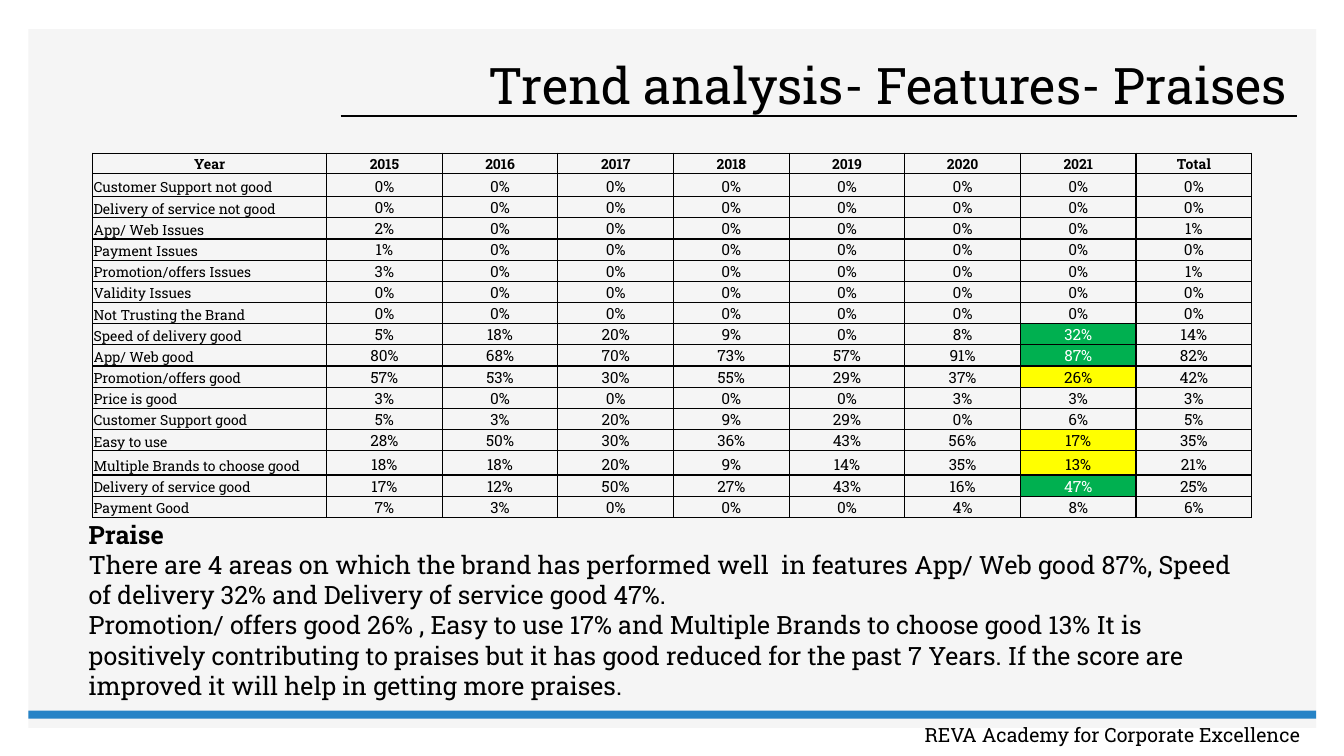
from dataclasses import dataclass
from typing import Optional

from lxml import etree
from pptx import Presentation
from pptx.dml.color import RGBColor
from pptx.enum import shapes, text
from pptx.oxml import ns
from pptx.util import Pt

FONT = "Roboto Slab"
BLACK, WHITE, PANEL, BLUE = "000000", "FFFFFF", "F5F5F5", "2683C6"
GREEN, YELLOW = "00B050", "FFFF00"
RIGHT, CENTER, LEFT = text.PP_ALIGN.RIGHT, text.PP_ALIGN.CENTER, text.PP_ALIGN.LEFT
ROW_HEIGHT, LABEL_WIDTH, YEAR_WIDTH = 14.4, 167, 82.62
HIGHLIGHT_COLUMN = 7


@dataclass
class Feature:
    label: str
    shares: tuple[int, ...]
    highlight: Optional[str] = None
    height: float = ROW_HEIGHT


HEADINGS = ("Year", *map(str, range(2015, 2022)), "Total")
FEATURES = (
    Feature("Customer Support not good", (0, 0, 0, 0, 0, 0, 0, 0), height=16.5),
    Feature("Delivery of service not good", (0, 0, 0, 0, 0, 0, 0, 0), height=13),
    Feature("App/ Web Issues", (2, 0, 0, 0, 0, 0, 0, 1)),
    Feature("Payment Issues", (1, 0, 0, 0, 0, 0, 0, 0)),
    Feature("Promotion/offers Issues", (3, 0, 0, 0, 0, 0, 0, 1)),
    Feature("Validity Issues", (0, 0, 0, 0, 0, 0, 0, 0)),
    Feature("Not Trusting the Brand", (0, 0, 0, 0, 0, 0, 0, 0)),
    Feature("Speed of delivery good", (5, 18, 20, 9, 0, 8, 32, 14), GREEN),
    Feature("App/ Web good", (80, 68, 70, 73, 57, 91, 87, 82), GREEN),
    Feature("Promotion/offers good", (57, 53, 30, 55, 29, 37, 26, 42), YELLOW),
    Feature("Price is good", (3, 0, 0, 0, 0, 3, 3, 3)),
    Feature("Customer Support good", (5, 3, 20, 9, 29, 0, 6, 5)),
    Feature("Easy to use", (28, 50, 30, 36, 43, 56, 17, 35), YELLOW),
    Feature("Multiple Brands to choose good", (18, 18, 20, 9, 14, 35, 13, 21), YELLOW, 17.3),
    Feature("Delivery of service good", (17, 12, 50, 27, 43, 16, 47, 25), GREEN),
    Feature("Payment Good", (7, 3, 0, 0, 0, 4, 8, 6)),
)
PRAISE = (
    "There are 4 areas on which the brand has performed well  in features App/ Web good 87%, "
    "Speed of delivery 32% and Delivery of service good 47%.",
    "Promotion/ offers good 26% , Easy to use 17% and Multiple Brands to choose good 13% It is "
    "positively contributing to praises but it has good reduced for the past 7 Years. If the "
    "score are improved it will help in getting more praises.",
)


def rgb(value: str) -> RGBColor:
    return RGBColor.from_string(value)


def write(frame, wording: str, *, size: float, bold: bool = False, color: str = BLACK,
          align=LEFT, spacing: Optional[float] = None) -> None:
    """Fill the frame's empty first paragraph, or add a paragraph after the others."""
    paragraph = frame.add_paragraph() if frame.text else frame.paragraphs[0]
    paragraph.alignment = align
    if spacing:
        paragraph.line_spacing = spacing
    run = paragraph.add_run()
    run.text = wording
    run.font.name, run.font.size, run.font.bold = FONT, Pt(size), bold
    run.font.color.rgb = rgb(color)


def add_bar(slide, left: float, top: float, width: float, height: float, color: str) -> None:
    bar = slide.shapes.add_shape(shapes.MSO_SHAPE.RECTANGLE, Pt(left), Pt(top), Pt(width), Pt(height))
    bar.shadow.inherit = False
    bar.fill.solid()
    bar.fill.fore_color.rgb = rgb(color)
    bar.line.fill.background()


def add_rule(slide, start: float, end: float, top: float) -> None:
    rule = slide.shapes.add_connector(shapes.MSO_CONNECTOR.STRAIGHT, Pt(start), Pt(top), Pt(end), Pt(top))
    rule.line.color.rgb = rgb(BLACK)
    rule.line.width = Pt(1)
    etree.SubElement(rule._element.spPr, ns.qn("a:effectLst"))


def add_frame(slide, left: float, top: float, width: float, height: float):
    box = slide.shapes.add_textbox(Pt(left), Pt(top), Pt(width), Pt(height))
    box.text_frame.word_wrap = True
    box.text_frame.auto_size = text.MSO_AUTO_SIZE.SHAPE_TO_FIT_TEXT
    return box.text_frame


def outline(cell) -> None:
    properties = cell._tc.get_or_add_tcPr()
    for side in ("a:lnL", "a:lnR", "a:lnT", "a:lnB"):
        line = etree.SubElement(properties, ns.qn(side), w=str(Pt(1)))
        fill = etree.SubElement(line, ns.qn("a:solidFill"))
        etree.SubElement(fill, ns.qn("a:srgbClr"), val=BLACK)


def fill_cell(cell, wording: str, fill: Optional[str] = None, **style) -> None:
    cell.vertical_anchor = text.MSO_ANCHOR.BOTTOM
    cell.margin_left = cell.margin_right = cell.margin_top = Pt(0.6)
    cell.margin_bottom = Pt(0)
    outline(cell)
    if fill:
        cell.fill.solid()
        cell.fill.fore_color.rgb = rgb(fill)
    else:
        cell.fill.background()
    write(cell.text_frame, wording, **style)


def add_feature_table(slide) -> None:
    heights = [ROW_HEIGHT, *(feature.height for feature in FEATURES)]
    widths = [LABEL_WIDTH] + [YEAR_WIDTH] * (len(HEADINGS) - 1)
    table = slide.shapes.add_table(len(heights), len(widths), Pt(66.3), Pt(109.5),
                                   Pt(sum(widths)), Pt(sum(heights))).table
    table.first_row = table.horz_banding = False
    for row, height in zip(table.rows, heights):
        row.height = Pt(height)
    for column, width in zip(table.columns, widths):
        column.width = Pt(width)
    for column, heading in enumerate(HEADINGS):
        fill_cell(table.cell(0, column), heading, size=10, bold=True, align=CENTER)
    for row, feature in enumerate(FEATURES, 1):
        fill_cell(table.cell(row, 0), feature.label, size=10)
        for column, share in enumerate(feature.shares, 1):
            fill = feature.highlight if column == HIGHLIGHT_COLUMN else None
            fill_cell(table.cell(row, column), f"{share}%", fill, size=11, align=CENTER,
                      color=WHITE if fill == GREEN else BLACK)


def place_title(slide, wording: str) -> None:
    title = slide.shapes.title
    title.left, title.top, title.width, title.height = Pt(266.4), Pt(30.2), Pt(660.2), Pt(66)
    title.text_frame.word_wrap = True
    title.text_frame.auto_size = text.MSO_AUTO_SIZE.NONE
    title.text_frame.vertical_anchor = text.MSO_ANCHOR.MIDDLE
    write(title.text_frame, wording, size=36, align=RIGHT, spacing=0.9)
    slide.shapes._spTree.append(title._element)  # in front of the panel


def main() -> None:
    deck = Presentation()
    deck.slide_width, deck.slide_height = Pt(960), Pt(540)
    slide = deck.slides.add_slide(deck.slide_layouts[5])
    slide.background.fill.solid()
    slide.background.fill.fore_color.rgb = rgb(WHITE)

    add_bar(slide, 20.2, 20.9, 920, 499, PANEL)
    add_rule(slide, 243.4, 926.6, 82.8)
    add_bar(slide, 20.2, 507.6, 920, 5.8, BLUE)
    academy = add_frame(slide, 563, 512.6, 376.6, 24.5)
    write(academy, "REVA Academy for Corporate Excellence ", size=14, align=RIGHT)
    place_title(slide, "Trend analysis- Features- Praises")
    add_feature_table(slide)

    praise = add_frame(slide, 56.2, 367.2, 837.4, 138.2)
    write(praise, "Praise", size=18, bold=True)
    for finding in PRAISE:
        write(praise, finding, size=18)
    deck.save("out.pptx")


if __name__ == "__main__":
    main()
